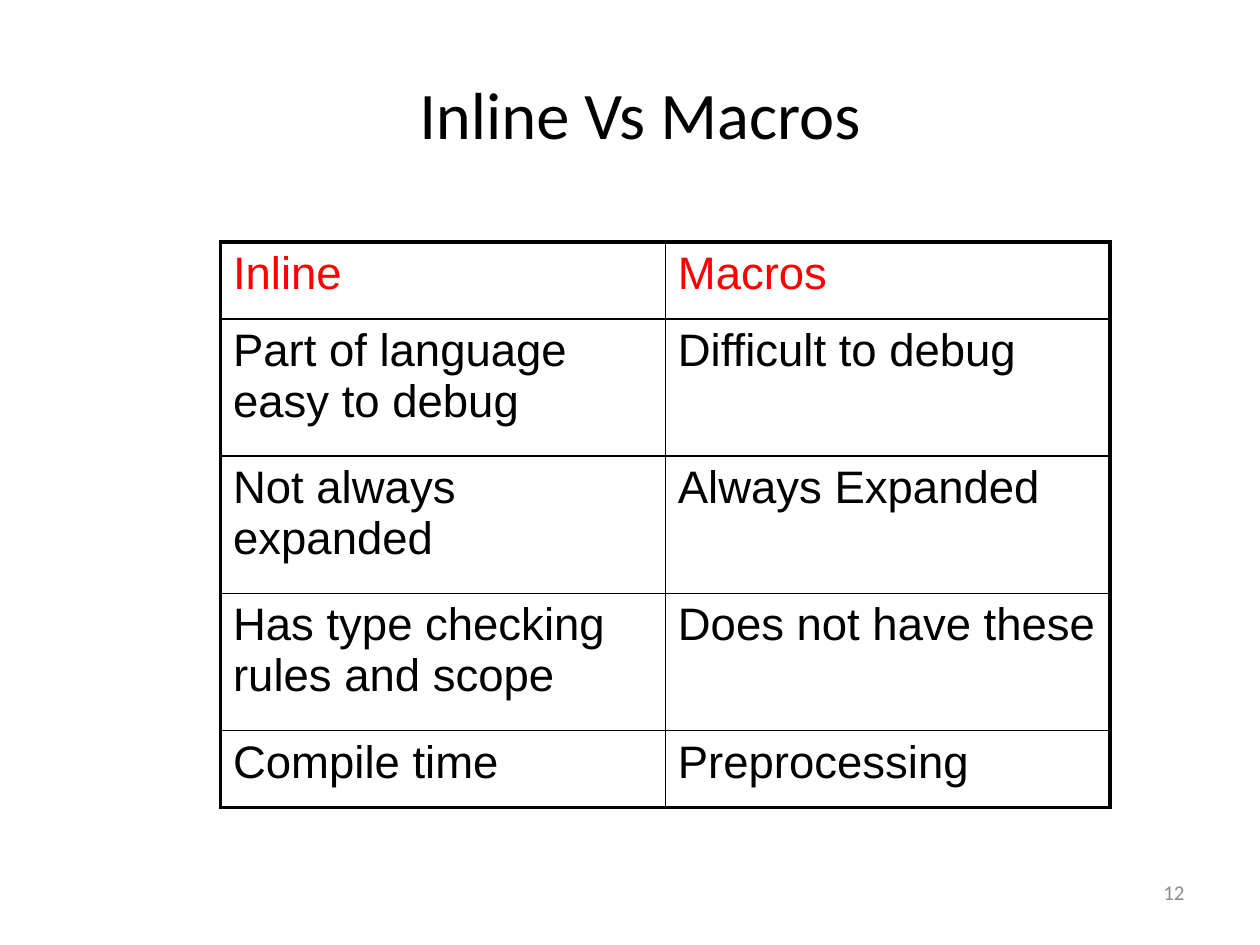
from dataclasses import dataclass

from lxml import etree
from pptx import Presentation, util as u
from pptx.dml.color import RGBColor
from pptx.enum import text
from pptx.oxml.ns import qn

TITLE = "Inline Vs Macros"
PAGE_NUMBER = "12"
ROWS = [
    ("Inline", "Macros"),
    ("Part of language easy to debug", "Difficult to debug"),
    ("Not always expanded", "Always Expanded"),
    ("Has type checking rules and scope", "Does not have these"),
    ("Compile time", "Preprocessing"),
]


@dataclass(frozen=True)
class Theme:
    heading_font: str = "Calibri"
    table_font: str = "Arial"
    ink: str = "000000"
    accent: str = "FF0000"
    muted: str = "8C8C8C"
    title_size: int = 38
    table_size: int = 26
    number_size: int = 12
    outer_line: float = 2.25
    inner_line: float = 1


THEME = Theme()
TABLE_LEFT, TABLE_TOP = 1.75, 1.92
COLUMN_WIDTH = 3.53
SHORT_ROW, TALL_ROW = 0.61, 1.09


def write(frame, words, font, size, color, align):
    para = frame.paragraphs[0]
    para.alignment = align
    span = para.add_run()
    span.text = words
    span.font.name = font
    span.font.size = u.Pt(size)
    span.font.color.rgb = RGBColor.from_string(color)
    return para


def place(shape, *box):
    shape.left, shape.top, shape.width, shape.height = map(u.Inches, box)


def space_before_percent(para, percent):
    before = etree.SubElement(para._p.get_or_add_pPr(), qn("a:spcBef"))
    etree.SubElement(before, qn("a:spcPct"), val=str(percent * 1000))


def draw_borders(cell, outer_sides):
    """Draw all four sides, the ones on the table's edge thicker."""
    properties = cell._tc.get_or_add_tcPr()
    for side in "LRTB":
        points = THEME.outer_line if side in outer_sides else THEME.inner_line
        line = etree.SubElement(properties, qn(f"a:ln{side}"), w=str(u.Pt(points)))
        fill = etree.SubElement(line, qn("a:solidFill"))
        etree.SubElement(fill, qn("a:srgbClr"), val=THEME.ink)


def add_title(page):
    title = page.shapes.title
    place(title, 0.58, 0, 9, 1.8)
    frame = title.text_frame
    frame.vertical_anchor = text.MSO_ANCHOR.MIDDLE
    write(frame, TITLE, THEME.heading_font, THEME.title_size, THEME.ink,
          text.PP_ALIGN.CENTER)


def add_comparison(page):
    last_row, last_column = len(ROWS) - 1, len(ROWS[0]) - 1
    heights = [SHORT_ROW if r in (0, last_row) else TALL_ROW
               for r in range(len(ROWS))]
    box = (TABLE_LEFT, TABLE_TOP, COLUMN_WIDTH * len(ROWS[0]), sum(heights))
    table = page.shapes.add_table(len(ROWS), len(ROWS[0]),
                                  *map(u.Inches, box)).table
    table.first_row = table.horz_banding = False
    for column in table.columns:
        column.width = u.Inches(COLUMN_WIDTH)
    for r, (words_in_row, height) in enumerate(zip(ROWS, heights)):
        table.rows[r].height = u.Inches(height)
        for c, words in enumerate(words_in_row):
            cell = table.cell(r, c)
            para = write(cell.text_frame, words, THEME.table_font,
                         THEME.table_size, THEME.ink if r else THEME.accent,
                         text.PP_ALIGN.LEFT)
            space_before_percent(para, 20)
            edges = {"L": c == 0, "R": c == last_column,
                     "T": r == 0, "B": r == last_row}
            draw_borders(cell, [side for side, outer in edges.items() if outer])
            cell.fill.background()


def add_page_number(page):
    box = page.shapes.add_textbox(*map(u.Inches, (7.17, 6.83, 2.33, 0.5)))
    frame = box.text_frame
    frame.word_wrap = True
    frame.vertical_anchor = text.MSO_ANCHOR.MIDDLE
    write(frame, PAGE_NUMBER, THEME.heading_font, THEME.number_size,
          THEME.muted, text.PP_ALIGN.RIGHT)


def main():
    deck = Presentation()
    deck.slide_width, deck.slide_height = u.Inches(10), u.Inches(7.5)
    page = deck.slides.add_slide(deck.slide_layouts.get_by_name("Title Only"))
    add_page_number(page)
    add_title(page)
    add_comparison(page)
    deck.save("out.pptx")


if __name__ == "__main__":
    main()
